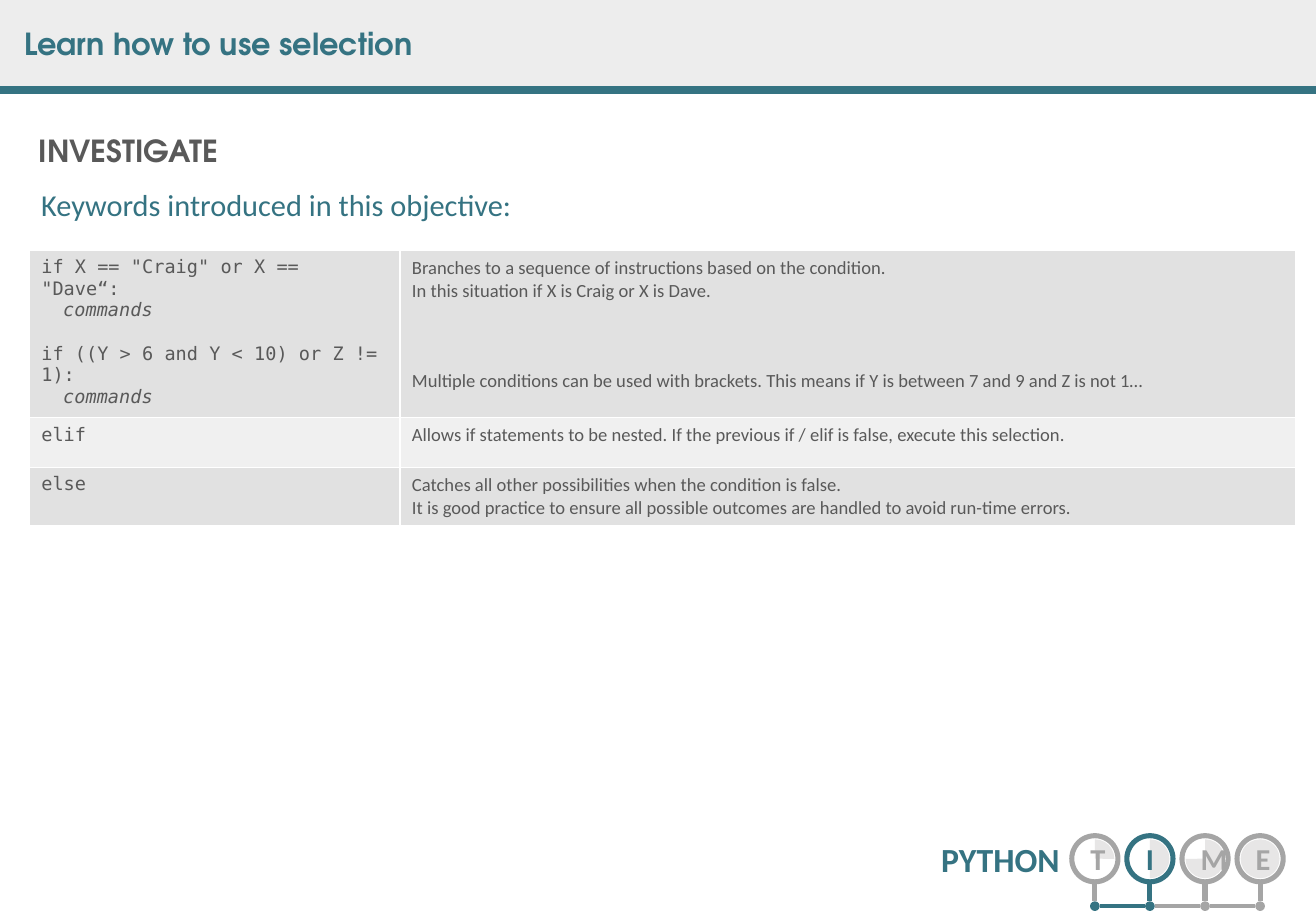
import pptx
import pptx.util
import pptx.dml.color
import pptx.enum.shapes
import pptx.enum.text
import pptx.oxml.ns
import lxml.etree

Inches, Pt = pptx.util.Inches, pptx.util.Pt
SHAPE = pptx.enum.shapes.MSO_SHAPE
ALIGN = pptx.enum.text.PP_ALIGN
ANCHOR = pptx.enum.text.MSO_ANCHOR
AUTO_SIZE = pptx.enum.text.MSO_AUTO_SIZE
qn = pptx.oxml.ns.qn

COLORS = {"teal": "357382", "text": "595959", "header": "EDEDED", "grey": "A5A5A5",
          "pie": "E7E6E6", "dark_row": "E1E1E1", "light_row": "F0F0F0", "border": "FFFFFF"}
HEADING, BODY, CODE = "TeX Gyre Adventor", "Calibri", "DejaVu Sans Mono"
CODE_LINE, BODY_LINE = 12.8, 13.4  # line heights of 11 pt text, in points

# Content: text, left, top, width, height, size, font, color, bold, align, anchor, wrap
TEXTS = [
    ("Learn how to use selection", 0.1, 0.16, 3.43, 0.4, 18, HEADING, "teal", True,
     ALIGN.LEFT, ANCHOR.TOP, False),
    ("INVESTIGATE", 0.22, 1.04, 1.71, 0.4, 18, HEADING, "text", True,
     ALIGN.LEFT, ANCHOR.TOP, False),
    ("Keywords introduced in this objective:", 0.24, 1.52, 10.32, 0.41, 18, BODY, "teal", False,
     ALIGN.LEFT, ANCHOR.TOP, True),
    ("PYTHON", 6.82, 6.85, 2, 0.44, 20, BODY, "teal", True,
     ALIGN.RIGHT, ANCHOR.BOTTOM, True),
]
# Each cell is a list of (text, is an indented command, blank lines before)
KEYWORDS = [
    ([('if X == "Craig" or X == "Dave“:', False, 0),
      ("commands", True, 0),
      ("if ((Y > 6 and Y < 10) or Z != 1):", False, 1),
      ("commands", True, 0)],
     [("Branches to a sequence of instructions based on the condition.", False, 0),
      ("In this situation if X is Craig or X is Dave.", False, 0),
      ("Multiple conditions can be used with brackets. "
       "This means if Y is between 7 and 9 and Z is not 1…", False, 3)]),
    ([("elif", False, 0)],
     [("Allows if statements to be nested. "
       "If the previous if / elif is false, execute this selection.", False, 0)]),
    ([("else", False, 0)],
     [("Catches all other possibilities when the condition is false.", False, 0),
      ("It is good practice to ensure all possible outcomes are handled "
       "to avoid run-time errors.", False, 0)]),
]
COLUMN_WIDTHS = [3.05, 7.37]
ROW_HEIGHTS = [1.35, 0.41, 0.48]
# Stage letter, ring color, dot color
STAGES = [("T", "grey", "teal"), ("I", "teal", "teal"),
          ("M", "grey", "grey"), ("E", "grey", "grey")]

presentation = pptx.Presentation()
presentation.slide_width, presentation.slide_height = Inches(10.83), Inches(7.5)
slide = presentation.slides.add_slide(presentation.slide_layouts[6])


def rgb(name):
    return pptx.dml.color.RGBColor.from_string(COLORS[name])


def style_font(paragraph, size, font_name, color, bold=False, italic=False):
    for run in paragraph.runs:
        font = run.font
        font.size, font.name, font.bold, font.italic = Pt(size), font_name, bold, italic
        font.color.rgb = rgb(color)


def add_shape(kind, left, top, width, height, fill=None, line=None):
    shape = slide.shapes.add_shape(kind, Inches(left), Inches(top), Inches(width), Inches(height))
    shape.shadow.inherit = False
    if fill:
        shape.fill.solid()
        shape.fill.fore_color.rgb = rgb(fill)
    else:
        shape.fill.background()
    if line:
        shape.line.color.rgb, shape.line.width = rgb(line), Pt(3)
    else:
        shape.line.fill.background()
    return shape


def add_circle(center_x, center_y, diameter, fill=None, line=None, kind=SHAPE.OVAL):
    return add_shape(kind, center_x - diameter / 2, center_y - diameter / 2,
                     diameter, diameter, fill, line)


def add_line(x1, y1, x2, y2, color, width):
    connector = slide.shapes.add_connector(pptx.enum.shapes.MSO_CONNECTOR.STRAIGHT,
                                           Inches(x1), Inches(y1), Inches(x2), Inches(y2))
    connector.line.color.rgb, connector.line.width = rgb(color), Pt(width)
    lxml.etree.SubElement(connector._element.spPr, qn("a:effectLst"))


def add_borders(cell):
    properties = cell._tc.get_or_add_tcPr()
    for side in ("L", "R", "T", "B"):
        border = lxml.etree.SubElement(properties, qn("a:ln" + side), w=str(Pt(1)))
        fill = lxml.etree.SubElement(border, qn("a:solidFill"))
        lxml.etree.SubElement(fill, qn("a:srgbClr"), val=COLORS["border"])


def fill_cell(cell, lines, font_name, line_height, fill):
    add_borders(cell)
    cell.fill.solid()
    cell.fill.fore_color.rgb = rgb(fill)
    cell.text_frame.text = "\n".join(text for text, _, _ in lines)
    for paragraph, (_, is_command, blank_lines) in zip(cell.text_frame.paragraphs, lines):
        style_font(paragraph, 11, font_name, "text", italic=is_command)
        if is_command:
            paragraph._p.get_or_add_pPr().set("marL", str(Inches(0.18)))
        if blank_lines:
            paragraph.space_before = Pt(blank_lines * line_height)


# Header band
add_shape(SHAPE.RECTANGLE, 0, 0, 10.83, 0.74, "header")
add_line(0, 0.74, 10.83, 0.74, "teal", 4.5)

# Headings and progress label
for text, left, top, width, height, size, font_name, color, bold, align, anchor, wrap in TEXTS:
    box = slide.shapes.add_textbox(Inches(left), Inches(top), Inches(width), Inches(height))
    frame = box.text_frame
    frame.text, frame.word_wrap, frame.vertical_anchor = text, wrap, anchor
    frame.auto_size = AUTO_SIZE.NONE if wrap else AUTO_SIZE.SHAPE_TO_FIT_TEXT
    paragraph = frame.paragraphs[0]
    paragraph.alignment = align
    if text.startswith("Keywords"):
        paragraph.line_spacing = 0.9
    style_font(paragraph, size, font_name, color, bold)

# Keyword table
table = slide.shapes.add_table(len(KEYWORDS), 2, Inches(0.24), Inches(2.06),
                               Inches(sum(COLUMN_WIDTHS)), Inches(sum(ROW_HEIGHTS))).table
table.first_row = table.horz_banding = False
for column, width in zip(table.columns, COLUMN_WIDTHS):
    column.width = Inches(width)
for index, (code, meaning) in enumerate(KEYWORDS):
    table.rows[index].height = Inches(ROW_HEIGHTS[index])
    row_fill = "light_row" if index % 2 else "dark_row"
    fill_cell(table.cell(index, 0), code, CODE, CODE_LINE, row_fill)
    fill_cell(table.cell(index, 1), meaning, BODY, BODY_LINE, row_fill)

# Progress tracker: each stage fills one more quarter of its ring
FIRST_X, LAST_X, RING_Y, DOT_Y = 9.01, 10.37, 7.07, 7.46
RING, PIE, DOT = 0.38, 0.32, 0.08
pitch = (LAST_X - FIRST_X) / (len(STAGES) - 1)
for index, (letter, ring_color, dot_color) in enumerate(STAGES):
    x = FIRST_X + index * pitch
    if index < len(STAGES) - 1:
        pie = add_circle(x, RING_Y, PIE, "pie", kind=SHAPE.PIE)
        pie.adjustments[0], pie.adjustments[1] = 162, 54 * index  # 0.6 per degree
        add_line(x + DOT / 2, DOT_Y, x + pitch - DOT / 2, DOT_Y, ring_color if index else "teal", 2.25) \
            if index != 1 else add_line(x + DOT / 2, DOT_Y, x + pitch - DOT / 2, DOT_Y, "grey", 2.25)
    else:
        add_circle(x, RING_Y, PIE, "pie")
    ring = add_circle(x, RING_Y, RING, line=ring_color)
    ring.text_frame.text = letter
    ring.text_frame.vertical_anchor = ANCHOR.MIDDLE
    ring.text_frame.paragraphs[0].alignment = ALIGN.CENTER
    style_font(ring.text_frame.paragraphs[0], 18, BODY, ring_color, True)
    add_line(x, RING_Y + RING / 2, x, DOT_Y - DOT / 2, ring_color, 3)
    add_circle(x, DOT_Y, DOT, dot_color)

presentation.save("out.pptx")
